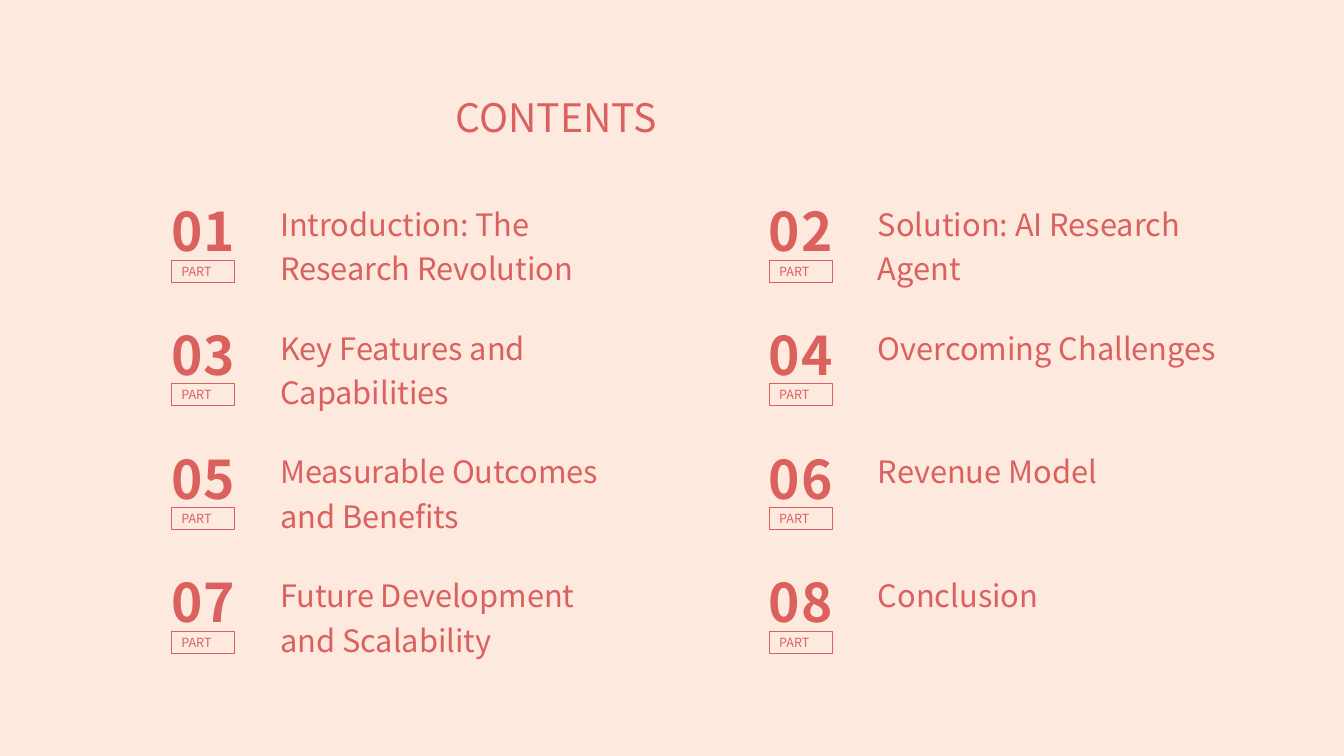
from pptx import Presentation
from pptx.dml.color import RGBColor
from pptx.enum.shapes import MSO_SHAPE as Shape
from pptx.enum.text import MSO_ANCHOR as Anchor, MSO_AUTO_SIZE as AutoSize, PP_ALIGN as Align
from pptx.util import Inches, Pt

CORAL = RGBColor(0xDB, 0x61, 0x5E)
BLUSH = RGBColor(0xFD, 0xE9, 0xDE)
FONT = "Noto Sans CJK SC"
TOPICS = [
    "Introduction: The Research Revolution",
    "Solution: AI Research Agent",
    "Key Features and Capabilities",
    "Overcoming Challenges",
    "Measurable Outcomes and Benefits",
    "Revenue Model",
    "Future Development and Scalability",
    "Conclusion",
]
COLUMNS = 2
LEFT, TOP = 1.14, 1.92
COLUMN_STEP, ROW_STEP = 5.93, 1.227


def write(shape, text, size, align, anchor=Anchor.TOP, bold=False):
    frame = shape.text_frame
    frame.text = text
    frame.word_wrap = True
    frame.auto_size = AutoSize.NONE
    frame.vertical_anchor = anchor
    para = frame.paragraphs[0]
    para.alignment = align
    span = para.runs[0]
    span.font.name = FONT
    span.font.size = Pt(size)
    span.font.bold = bold
    span.font.color.rgb = CORAL
    return para


def set_title(page, text):
    title = page.shapes.title
    title.left, title.top = Inches(4.42), Inches(0.88)
    title.width, title.height = Inches(4.49), Inches(0.57)
    write(title, text, 28, Align.JUSTIFY)


def add_topic(page, left, top, text):
    box = page.shapes.add_textbox(Inches(left), Inches(top), Inches(3.57), Inches(1.07))
    write(box, text, 22, Align.LEFT).line_spacing = 1.2


def add_number(page, left, top, number):
    box = page.shapes.add_textbox(Inches(left), Inches(top), Inches(1.75), Inches(0.91))
    para = write(box, f"{number:02d}", 38, Align.CENTER, bold=True)
    para.runs[0].font._element.set("spc", "100")


def add_part_label(page, left, top):
    label = page.shapes.add_shape(
        Shape.RECTANGLE, Inches(left), Inches(top), Inches(0.63), Inches(0.22))
    label.shadow.inherit = False
    label.fill.background()
    label.line.color.rgb = CORAL
    label.line.width = Pt(0.75)
    write(label, "PART", 9, Align.JUSTIFY, Anchor.MIDDLE)


def add_entry(page, index, text):
    row, column = divmod(index, COLUMNS)
    left = LEFT + column * COLUMN_STEP
    top = TOP + row * ROW_STEP
    add_topic(page, left + 1.54, top, text)
    add_number(page, left, top, index + 1)
    add_part_label(page, left + 0.56, top + 0.66)


def main():
    deck = Presentation()
    deck.slide_width, deck.slide_height = Inches(13.33), Inches(7.5)
    page = deck.slides.add_slide(deck.slide_layouts[5])
    page.background.fill.solid()
    page.background.fill.fore_color.rgb = BLUSH
    set_title(page, "CONTENTS")
    for index, text in enumerate(TOPICS):
        add_entry(page, index, text)
    deck.save("out.pptx")


if __name__ == "__main__":
    main()
